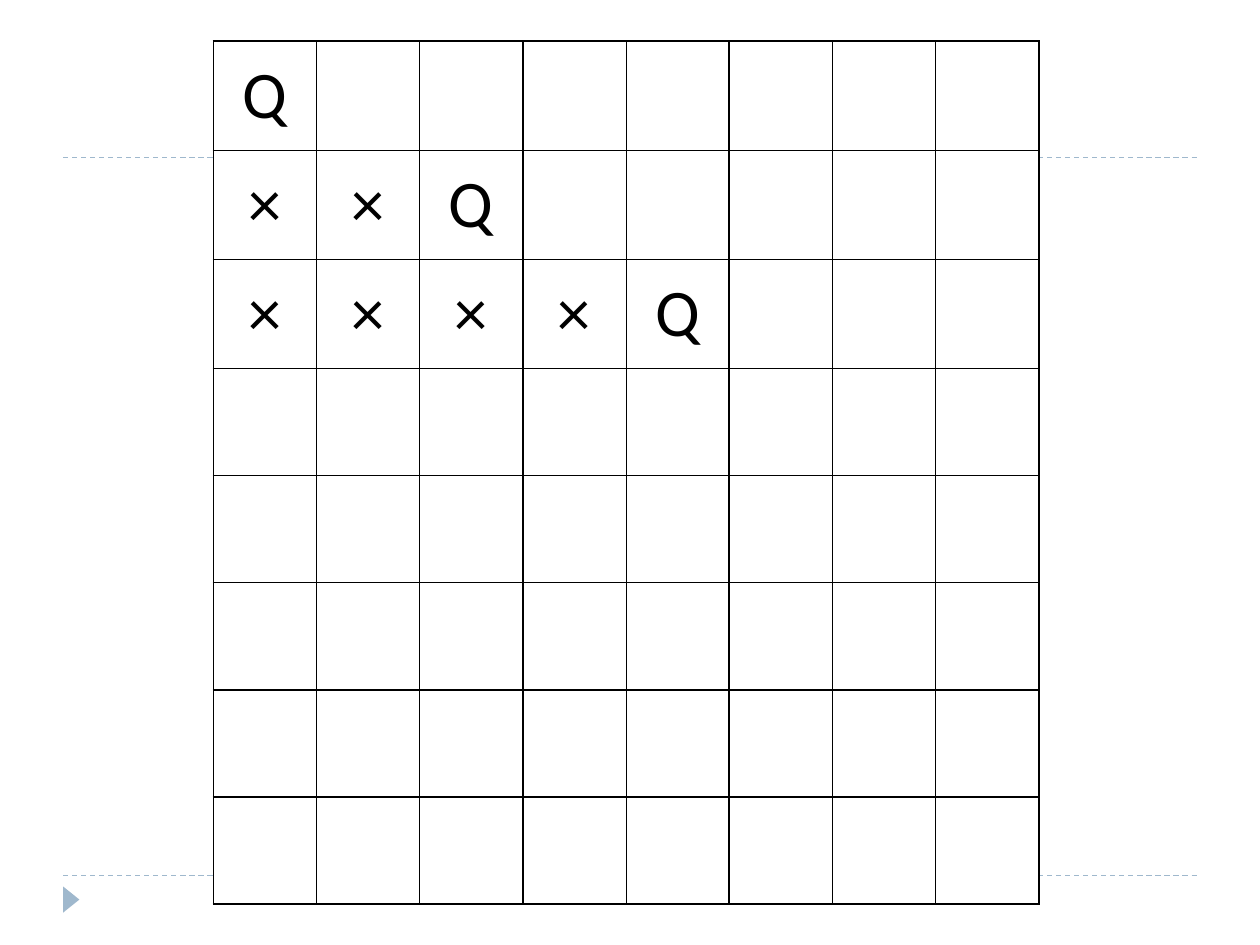
from lxml.etree import SubElement
from pptx import Presentation
from pptx.dml.color import RGBColor
from pptx.enum.dml import MSO_LINE_DASH_STYLE as Dash
from pptx.enum.shapes import MSO_CONNECTOR as Connector, MSO_SHAPE as Shape
from pptx.enum.text import MSO_ANCHOR as Anchor, PP_ALIGN as Align
from pptx.oxml.ns import qn
from pptx.util import Cm, Pt

BOARD = [
    "Q       ",
    "××Q     ",
    "××××Q   ",
    "        ",
    "        ",
    "        ",
    "        ",
    "        ",
]
SIZE = len(BOARD)
THIN_GRID_LINES = (2, 4)
RULE_HEIGHTS = (17.65, 3.18)
BOARD_LEFT, BOARD_TOP = 4.3, 0.83
SQUARE_WIDTH, SQUARE_HEIGHT = 2.08, 2.16

BLACK = RGBColor(0x00, 0x00, 0x00)
WHITE = RGBColor(0xFF, 0xFF, 0xFF)
PALE_BLUE = RGBColor(0x9F, 0xB8, 0xCD)


def add_rule(slide, height):
    rule = slide.shapes.add_connector(
        Connector.STRAIGHT, Cm(1.27), Cm(height), Cm(24.13), Cm(height))
    rule.line.color.rgb = PALE_BLUE
    rule.line.width = Pt(0.75)
    rule.line.dash_style = Dash.DASH
    SubElement(rule._element.spPr, qn("a:effectLst"))


def add_marker(slide):
    marker = slide.shapes.add_shape(
        Shape.ISOSCELES_TRIANGLE, Cm(1.17), Cm(17.97), Cm(0.53), Cm(0.33))
    marker.rotation = 90
    marker.shadow.inherit = False
    marker.fill.solid()
    marker.fill.fore_color.rgb = PALE_BLUE
    marker.line.fill.background()


def set_borders(cell, row, column):
    properties = cell._tc.get_or_add_tcPr()
    sides = {"lnL": column, "lnR": column + 1, "lnT": row, "lnB": row + 1}
    for position, (side, grid_line) in enumerate(sides.items()):
        width = Pt(0.5 if grid_line in THIN_GRID_LINES else 1)
        border = SubElement(properties, qn(f"a:{side}"), w=str(width))
        fill = SubElement(border, qn("a:solidFill"))
        SubElement(fill, qn("a:srgbClr"), val=str(BLACK))
        properties.insert(position, border)


def add_board(slide):
    frame = slide.shapes.add_table(
        SIZE, SIZE, Cm(BOARD_LEFT), Cm(BOARD_TOP),
        Cm(SIZE * SQUARE_WIDTH), Cm(SIZE * SQUARE_HEIGHT))
    table = frame.table
    table.first_row = table.horz_banding = False
    for column in table.columns:
        column.width = Cm(SQUARE_WIDTH)
    for row in table.rows:
        row.height = Cm(SQUARE_HEIGHT)
    for row, marks in enumerate(BOARD):
        for column, mark in enumerate(marks):
            cell = table.cell(row, column)
            cell.fill.solid()
            cell.fill.fore_color.rgb = WHITE
            set_borders(cell, row, column)
            if mark != " ":
                write_mark(cell, mark)


def write_mark(cell, mark):
    cell.vertical_anchor = Anchor.MIDDLE
    cell.margin_left = cell.margin_right = Cm(0.53)
    cell.margin_top = cell.margin_bottom = Cm(0.28)
    paragraph = cell.text_frame.paragraphs[0]
    paragraph.alignment = Align.CENTER
    run = paragraph.add_run()
    run.text = mark
    run.font.name = "Calibri"
    run.font.size = Pt(38)
    run.font.color.rgb = BLACK


def main():
    presentation = Presentation()
    presentation.slide_width, presentation.slide_height = Cm(25.4), Cm(19.05)
    slide = presentation.slides.add_slide(presentation.slide_layouts[6])
    for height in RULE_HEIGHTS:
        add_rule(slide, height)
    add_marker(slide)
    add_board(slide)
    presentation.save("out.pptx")


if __name__ == "__main__":
    main()
